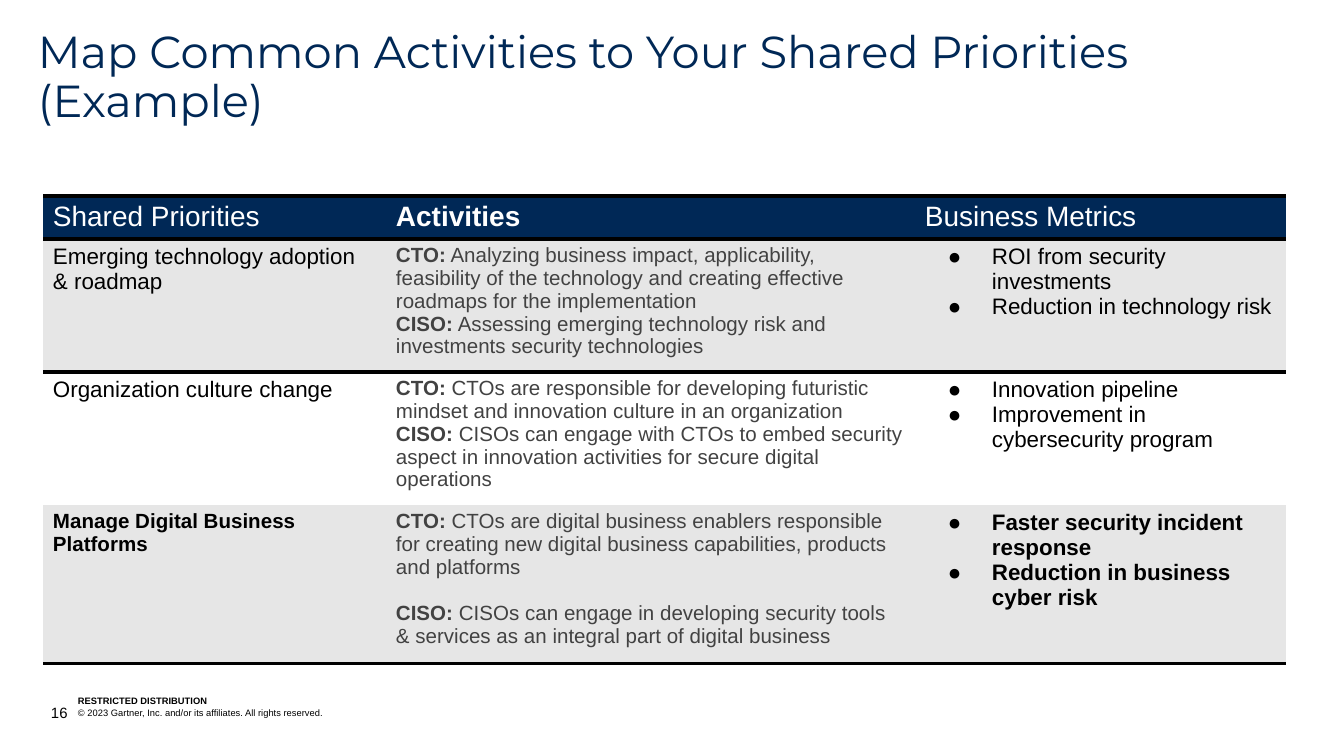
from pptx import Presentation, util as u
from pptx.dml import color
from pptx.enum import text as t
from pptx.oxml import parse_xml
from pptx.oxml import ns

SCALE = 914400 / 134.4
NAVY, GREY, BLACK, WHITE, SHADE = "002856", "424242", "000000", "FFFFFF", "E6E6E6"


def px(n):
    return u.Emu(round(n * SCALE))


def add_run(paragraph, words, size, hue, bold=False, face="Arial"):
    font = paragraph.add_run().font
    paragraph.runs[-1].text = words
    for key, value in {"name": face, "size": u.Pt(size), "bold": bold}.items():
        setattr(font, key, value)
    font.color.rgb = color.RGBColor.from_string(hue)


deck = Presentation()
deck.slide_width, deck.slide_height = px(1344), px(756)
slide = deck.slides.add_slide(deck.slide_layouts[5])

heading = slide.shapes.title
place = {"left": 38, "top": 30, "width": 1243, "height": 26}
for key, value in place.items():
    setattr(heading, key, px(value))
frame_format = {"margin_left": 0, "margin_right": 0, "margin_top": 0, "margin_bottom": 0,
                "word_wrap": True, "auto_size": t.MSO_AUTO_SIZE.NONE,
                "vertical_anchor": t.MSO_ANCHOR.TOP}
for key, value in frame_format.items():
    setattr(heading.text_frame, key, value)
headline = heading.text_frame.paragraphs[0]
headline.alignment = t.PP_ALIGN.LEFT
headline.line_spacing = 0.9
add_run(headline, "Map Common Activities to Your Shared Priorities (Example)", 24, NAVY,
        face="Montserrat")

footers = [
    ("RESTRICTED DISTRIBUTION", (78, 695, 255, 11), 5, True, t.MSO_ANCHOR.BOTTOM),
    ("16", (51, 704, 805, 17), 8, False, t.MSO_ANCHOR.BOTTOM),
    ("© 2023 Gartner, Inc. and/or its affiliates. All rights reserved.",
     (78, 707, 268, 12), 5, False, t.MSO_ANCHOR.TOP),
]
for words, box, size, bold, anchor in footers:
    frame = slide.shapes.add_textbox(*map(px, box)).text_frame
    for key, value in {**frame_format, "vertical_anchor": anchor}.items():
        setattr(frame, key, value)
    add_run(frame.paragraphs[0], words, size, BLACK, bold)

headers = [("Shared Priorities", False), ("Activities", True), ("Business Metrics", False)]
priorities = [
    ("Emerging technology adoption & roadmap", 12, False, 0,
     "Analyzing business impact, applicability, feasibility of the technology and creating "
     "effective roadmaps for the implementation",
     "Assessing emerging technology risk and investments security technologies",
     ["ROI from security investments", "Reduction in technology risk"]),
    ("Organization culture change", 12, False, 0,
     "CTOs are responsible for developing futuristic mindset and innovation culture in an "
     "organization",
     "CISOs can engage with CTOs to embed security aspect in innovation activities for secure "
     "digital operations",
     ["Innovation pipeline", "Improvement in cybersecurity program"]),
    ("Manage Digital Business Platforms", 11, True, 12.6,
     "CTOs are digital business enablers responsible for creating new digital business "
     "capabilities, products and platforms",
     "CISOs can engage in developing security tools & services as an integral part of digital "
     "business",
     ["Faster security incident response", "Reduction in business cyber risk"]),
]
widths, heights = [343, 529, 371], [43, 133, 133, 159]
table = slide.shapes.add_table(4, 3, px(43), px(196), px(sum(widths)), px(sum(heights))).table
style = table._tbl.tblPr.find(ns.qn("a:tableStyleId"))
style.text = "{2D5ABB26-0587-4C30-8999-92F81FD0307C}"
for column, width in zip(table.columns, widths):
    column.width = px(width)
for row, height in zip(table.rows, heights):
    row.height = px(height)

cell_format = {"margin_left": px(10), "margin_right": px(10),
               "margin_top": px(5), "margin_bottom": px(5)}
row_fills = [NAVY, SHADE, WHITE, SHADE]
row_edges = [["lnT", "lnB"], ["lnT"], [], ["lnB"]]
for row, fill, edges in zip(table.rows, row_fills, row_edges):
    for cell in row.cells:
        for key, value in cell_format.items():
            setattr(cell, key, value)
        cell.fill.solid()
        cell.fill.fore_color.rgb = color.RGBColor.from_string(fill)
        for position, edge in enumerate(edges):
            cell._tc.get_or_add_tcPr().insert(position, parse_xml(
                f'<a:{edge} {ns.nsdecls("a")} w="{u.Pt(2)}"><a:solidFill>'
                f'<a:srgbClr val="{BLACK}"/></a:solidFill></a:{edge}>'))

for cell, (words, bold) in zip(table.rows[0].cells, headers):
    add_run(cell.text_frame.paragraphs[0], words, 15, WHITE, bold)

for row, priority in zip(list(table.rows)[1:], priorities):
    name, size, bold, gap, cto, ciso, metrics = priority
    priority_cell, activity_cell, metric_cell = row.cells
    add_run(priority_cell.text_frame.paragraphs[0], name, size, BLACK, bold)

    activities = activity_cell.text_frame
    activities.add_paragraph().space_before = u.Pt(gap)
    for paragraph, role, activity in zip(activities.paragraphs, ["CTO:", "CISO:"], [cto, ciso]):
        add_run(paragraph, role, 11, GREY, True)
        add_run(paragraph, " " + activity, 11, GREY)

    metric_cell.text_frame.add_paragraph()
    for paragraph, metric in zip(metric_cell.text_frame.paragraphs, metrics):
        indent = paragraph._p.get_or_add_pPr()
        indent.set("marL", str(px(67)))
        indent.set("indent", str(px(-44)))
        for bullet in (f'buClr {ns.nsdecls("a")}><a:srgbClr val="{BLACK}"/></a:buClr',
                       f'buFont {ns.nsdecls("a")} typeface="Arial"/',
                       f'buChar {ns.nsdecls("a")} char="●"/'):
            indent.append(parse_xml(f"<a:{bullet}>"))
        add_run(paragraph, metric, 12, BLACK, bold)

deck.save("out.pptx")
